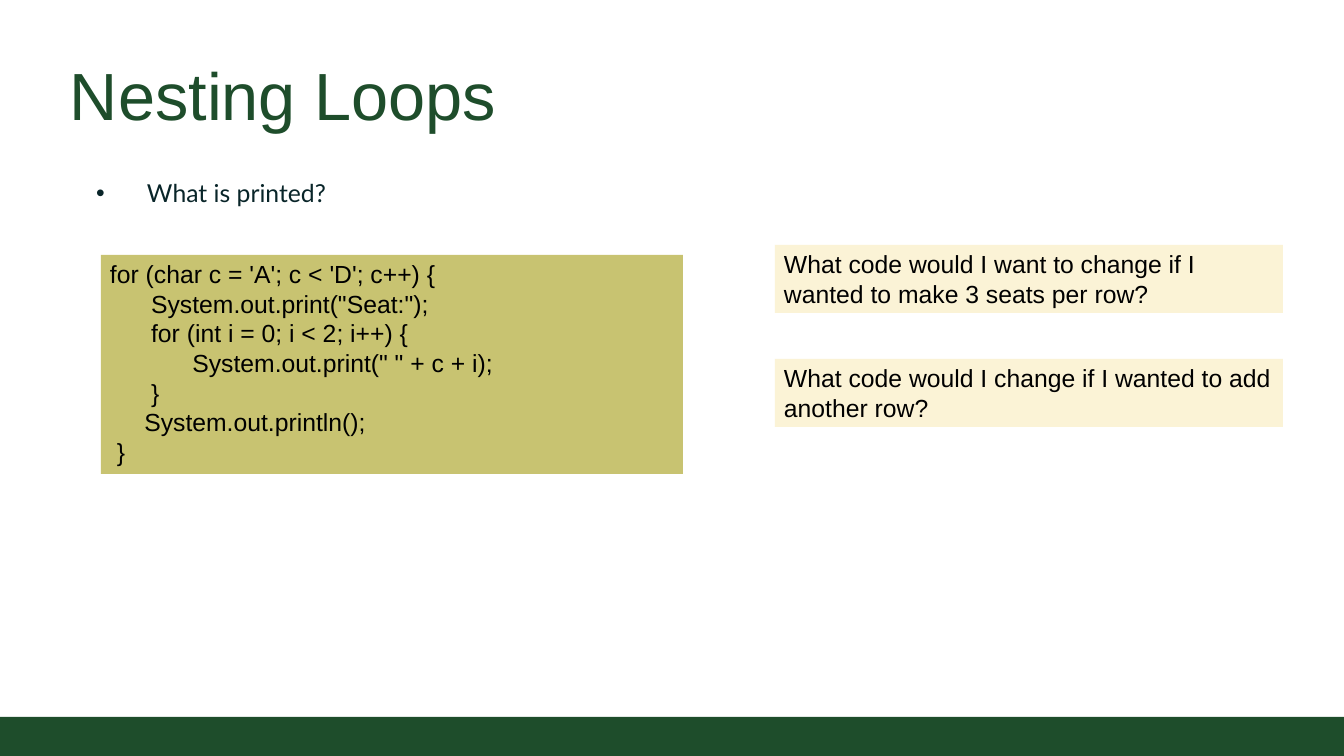
from pptx import Presentation
from pptx.dml.color import RGBColor
from pptx.enum.shapes import MSO_SHAPE as Shape
from pptx.enum.text import MSO_ANCHOR as Anchor, MSO_AUTO_SIZE as Fit, PP_ALIGN as Align
from pptx.oxml.ns import qn
from pptx.util import Inches, Pt
from lxml.etree import SubElement

TITLE = "Nesting Loops"
BODY = "What is printed?"
CODE = """for (char c = 'A'; c < 'D'; c++) {
      System.out.print("Seat:");
      for (int i = 0; i < 2; i++) {
            System.out.print(" " + c + i);
      }
     System.out.println();
 }"""
NOTES = [
    "What code would I want to change if I wanted to make 3 seats per row?",
    "What code would I change if I wanted to add another row?",
]
GREEN, INK, BLACK = "1E4D2B", "092529", "000000"
OLIVE, CREAM = "C8C371", "FBF3D6"
WIDE, HIGH, BAR = 1344, 756, 39
NOTE_TOP, NOTE_STEP = 245, 114
SCALE = Inches(8.5) / HIGH


def px(n):
    return round(n * SCALE)


def color(code):
    return RGBColor.from_string(code)


def write(shape, text, size, face, ink, pad, anchor=Anchor.TOP):
    frame = shape.text_frame
    frame.text = text
    frame.word_wrap = True
    frame.auto_size = Fit.NONE
    frame.vertical_anchor = anchor
    frame.margin_left = frame.margin_right = px(9)
    frame.margin_top = frame.margin_bottom = px(pad)
    for para in frame.paragraphs:
        para.alignment = Align.LEFT
        for run in para.runs:
            run.font.size = Pt(size)
            run.font.name = face
            run.font.color.rgb = color(ink)
    return frame.paragraphs


def place(shape, left, top, width, height):
    shape.left, shape.top = px(left), px(top)
    shape.width, shape.height = px(width), px(height)


def box(left, top, width, height, fill):
    area = [px(n) for n in (left, top, width, height)]
    shape = slide.shapes.add_shape(Shape.RECTANGLE, *area)
    shape.shadow.inherit = False
    shape.fill.solid()
    shape.fill.fore_color.rgb = color(fill)
    shape.line.fill.background()
    return shape


def panel(text, left, top, width, height, fill):
    shape = box(left, top, width, height, fill)
    for para in write(shape, text, 20, "Arial", BLACK, 4):
        para.line_spacing = Pt(24)


deck = Presentation()
deck.slide_width, deck.slide_height = px(WIDE), px(HIGH)
slide = deck.slides.add_slide(deck.slide_layouts[1])
title, body = slide.placeholders

box(0, HIGH - BAR, WIDE, BAR, GREEN)

place(title, 61, 44, 1222, 99)
write(title, TITLE, 54, "Arial", GREEN, 9, Anchor.BOTTOM)

place(body, 87, 163, 743, 50)
item = write(body, BODY, 20, "Lato", INK, 9)[0]
props = item._p.get_or_add_pPr()
props.set("marL", str(px(51)))
props.set("indent", str(px(-51)))
SubElement(props, qn("a:buChar")).set("char", "•")
item.line_spacing = 1.2
item.space_before = Pt(0)
item.space_after = Pt(6)

panel(CODE, 101, 255, 582, 219, OLIVE)
for i, note in enumerate(NOTES):
    panel(note, 775, NOTE_TOP + i * NOTE_STEP, 508, 68, CREAM)

deck.save("out.pptx")
